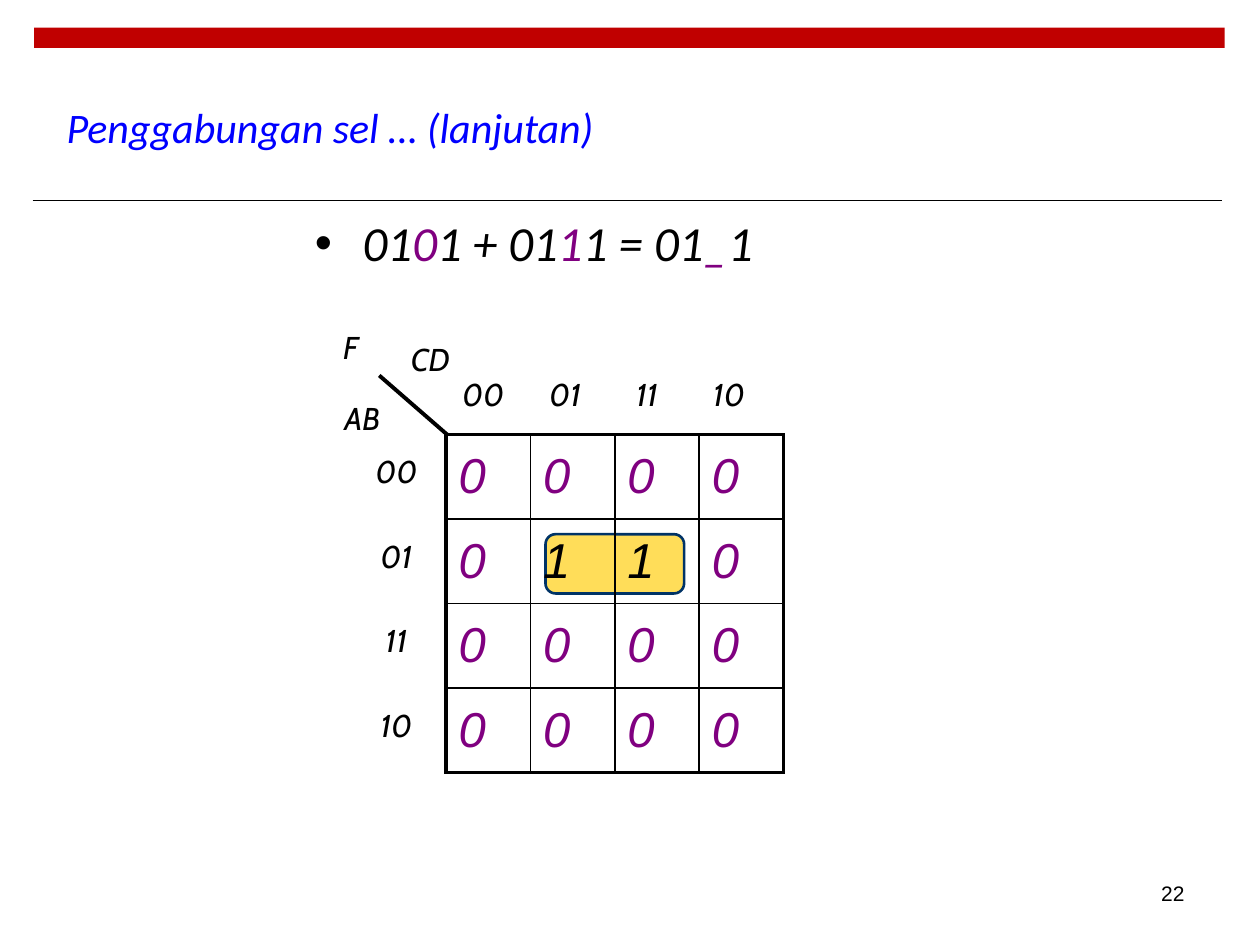
"""Build the Karnaugh map slide on merging two neighbouring cells."""
from dataclasses import dataclass

from lxml.etree import SubElement
from pptx import Presentation
from pptx.dml.color import RGBColor
from pptx.enum.shapes import MSO_CONNECTOR as Connector, MSO_SHAPE as Preset
from pptx.enum.text import MSO_ANCHOR as Anchor, PP_ALIGN as Align
from pptx.oxml import parse_xml
from pptx.oxml.ns import nsdecls, qn
from pptx.util import Inches, Pt

BLACK = RGBColor(0, 0, 0)
PURPLE = RGBColor(0x80, 0, 0x80)
BLUE = RGBColor(0, 0, 0xFF)
RED = RGBColor(0xC0, 0, 0)
GOLD = RGBColor(0xFF, 0xCC, 0)
NAVY = RGBColor(0, 0x33, 0x66)

MAP_LEFT, MAP_TOP, CELL = 3.54, 3.45, 0.67
MAP_ROWS = ("0000", "0110", "0000", "0000")
THICK, THIN = 2.25, 1


@dataclass(frozen=True)
class Label:
    text: str
    left: float
    top: float


@dataclass(frozen=True)
class Rule:
    start: tuple[float, float]
    end: tuple[float, float]
    width: float


RULES = (
    Rule((0.26, 1.59), (9.7, 1.59), 0.6),
    Rule((3.01, 2.98), (3.55, 3.45), THICK),
)
GRAY_CODE = ("00", "01", "11", "10")
LABELS = (
    *(Label(code, 3.61 + 0.65 * i, 2.98) for i, code in enumerate(GRAY_CODE)),
    *(Label(code, 2.92, 3.59 + 0.67 * i) for i, code in enumerate(GRAY_CODE)),
    Label("AB", 2.65, 3.17),
    Label("CD", 3.19, 2.7),
    Label("F", 2.56, 2.6),
)
EQUATION = (
    ("01", BLACK), ("0", PURPLE), ("1 + 01", BLACK), ("1", PURPLE),
    ("1 = 01", BLACK), ("_", PURPLE), ("1", BLACK),
)


def write(paragraph, text: str, *, size: float, font: str = "Calibri",
          color: RGBColor = BLACK, italic: bool = True, align=Align.LEFT) -> None:
    """Add one formatted run to a paragraph."""
    paragraph.alignment = align
    run = paragraph.add_run()
    run.text = text
    run.font.size = Pt(size)
    run.font.name = font
    run.font.italic = italic
    run.font.color.rgb = color


def add_box(slide, left: float, top: float, width: float, height: float,
            anchor=Anchor.TOP, padded: bool = True):
    """Add a wrapping text box and return its first paragraph."""
    frame = slide.shapes.add_textbox(
        Inches(left), Inches(top), Inches(width), Inches(height)).text_frame
    frame.word_wrap = True
    frame.vertical_anchor = anchor
    if not padded:
        frame.margin_left = frame.margin_right = 0
        frame.margin_top = frame.margin_bottom = 0
    return frame.paragraphs[0]


def add_block(slide, preset, left: float, top: float, width: float,
              height: float, fill: RGBColor):
    """Add a filled shape without outline or shadow."""
    block = slide.shapes.add_shape(
        preset, Inches(left), Inches(top), Inches(width), Inches(height))
    block.shadow.inherit = False
    block.fill.solid()
    block.fill.fore_color.rgb = fill
    block.line.fill.background()
    return block


def add_rule(slide, rule: Rule) -> None:
    """Draw a straight black line."""
    line = slide.shapes.add_connector(
        Connector.STRAIGHT, *map(Inches, (*rule.start, *rule.end)))
    line.line.color.rgb = BLACK
    line.line.width = Pt(rule.width)
    SubElement(line._element.spPr, qn("a:effectLst"))


def add_merged_group(slide) -> None:
    """Highlight the two merged cells."""
    group = add_block(slide, Preset.ROUNDED_RECTANGLE, 4.33, 4.24, 1.1, 0.47, GOLD)
    group.adjustments[0] = 0.17
    group.line.color.rgb = NAVY
    group.line.width = Pt(1.5)
    color = group._element.spPr.find(qn("a:solidFill")).find(qn("a:srgbClr"))
    SubElement(color, qn("a:alpha"), val="65000")


def set_borders(cell, widths: dict[str, float]) -> None:
    """Give a cell its black borders by side."""
    properties = cell._tc.get_or_add_tcPr()
    for position, (side, width) in enumerate(widths.items()):
        properties.insert(position, parse_xml(
            f'<a:ln{side} {nsdecls("a")} w="{Pt(width)}"><a:solidFill>'
            f'<a:srgbClr val="{BLACK}"/></a:solidFill></a:ln{side}>'))


def add_map(slide) -> None:
    """Draw the Karnaugh map with a heavy outer frame."""
    count = len(MAP_ROWS)
    side = Inches(CELL * count)
    karnaugh = slide.shapes.add_table(
        count, count, Inches(MAP_LEFT), Inches(MAP_TOP), side, side).table
    karnaugh.first_row = karnaugh.horz_banding = False
    for i in range(count):
        karnaugh.columns[i].width = karnaugh.rows[i].height = Inches(CELL)
    for r, values in enumerate(MAP_ROWS):
        for c, value in enumerate(values):
            cell = karnaugh.cell(r, c)
            cell.fill.background()
            cell.vertical_anchor = Anchor.MIDDLE
            write(cell.text_frame.paragraphs[0], value, size=28, font="Arial",
                  color=BLACK if value == "1" else PURPLE)
            outer = {"L": c == 0, "R": c == count - 1,
                     "T": r == 0, "B": r == count - 1}
            set_borders(cell, {edge: THICK if on_frame else THIN
                               for edge, on_frame in outer.items()})


def add_equation(slide) -> None:
    """Write the bulleted equation with its differing bits coloured."""
    equation = add_box(slide, 2.4, 1.64, 6.95, 5.28)
    properties = equation._p.get_or_add_pPr()
    properties.set("marL", str(Inches(0.38)))
    properties.set("indent", str(Inches(-0.38)))
    SubElement(properties, qn("a:buFont"), typeface="Arial")
    SubElement(properties, qn("a:buChar"), char="•")
    for text, color in EQUATION:
        write(equation, text, size=28, color=color)


def main() -> None:
    """Assemble and save the slide."""
    deck = Presentation()
    deck.slide_width, deck.slide_height = Inches(10), Inches(7.5)
    slide = deck.slides.add_slide(deck.slide_layouts[6])
    heading_rule, map_diagonal = RULES

    add_block(slide, Preset.RECTANGLE, 0.27, 0.22, 9.45, 0.16, RED)
    add_rule(slide, heading_rule)
    write(add_box(slide, 7.17, 6.83, 2.33, 0.52, Anchor.MIDDLE), "22",
          size=12, font="Arial", italic=False, align=Align.RIGHT)
    add_equation(slide)
    write(add_box(slide, 0.43, 0.69, 9, 0.63, Anchor.MIDDLE),
          "Penggabungan sel … (lanjutan)", size=24, color=BLUE)
    add_merged_group(slide)
    for label in LABELS:
        write(add_box(slide, label.left, label.top, 0.45, 0.3, padded=False),
              label.text, size=18, font="Cabin", align=Align.CENTER)
    add_rule(slide, map_diagonal)
    add_map(slide)
    deck.save("out.pptx")


if __name__ == "__main__":
    main()
